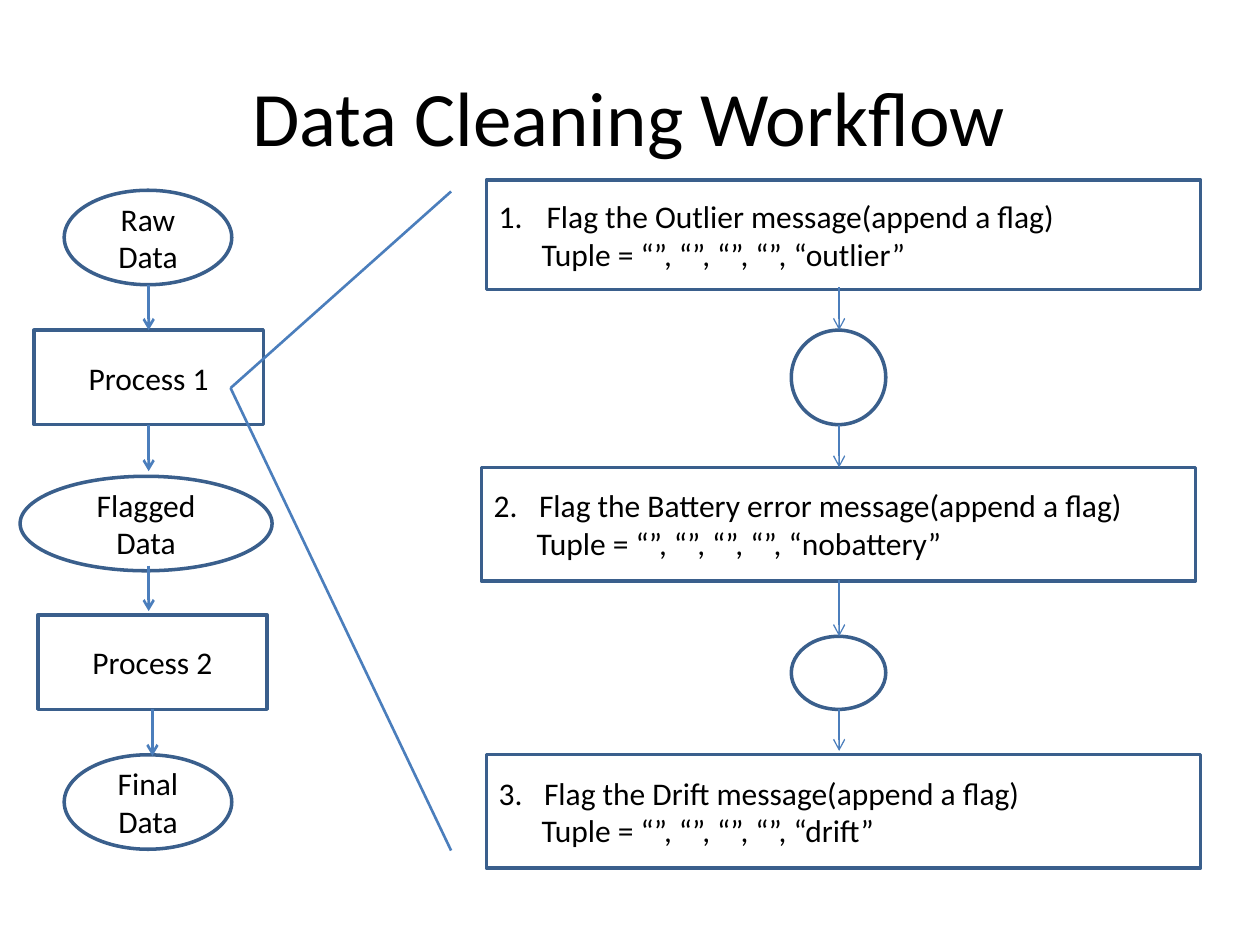
from lxml import etree
from pptx import Presentation
from pptx.dml.color import RGBColor
from pptx.enum.shapes import MSO_CONNECTOR, MSO_SHAPE
from pptx.enum.text import MSO_ANCHOR, PP_ALIGN
from pptx.oxml.ns import qn
from pptx.util import Inches, Pt

BLACK, WHITE = "000000", "FFFFFF"
OUTLINE, ARROW = "3A5F8C", "4B7EBC"

presentation = Presentation()
presentation.slide_width, presentation.slide_height = Inches(10), Inches(7.5)
slide = presentation.slides.add_slide(presentation.slide_layouts[5])


def color(value):
    return RGBColor.from_string(value)


def write(paragraph, text, size=18, align=PP_ALIGN.CENTER, indent=0, number=None):
    paragraph.text = text
    paragraph.alignment = align
    properties = paragraph._p.get_or_add_pPr()
    if indent:
        properties.set("marL", str(Inches(indent)))
        properties.set("indent", str(-Inches(indent) if number else 0))
    if number:
        etree.SubElement(properties, qn("a:buAutoNum"), type="arabicPeriod", startAt=str(number))
    font = paragraph.font
    font.name, font.size, font.color.rgb = "Calibri", Pt(size), color(BLACK)


# Title
title = slide.shapes.title
title.left, title.top, title.width, title.height = [Inches(n) for n in (0.49, 0.29, 9, 1.25)]
title.text_frame.vertical_anchor = MSO_ANCHOR.MIDDLE
write(title.text_frame.paragraphs[0], "Data Cleaning Workflow", size=44)

# Nodes: key, preset, position and size, fill
OVAL, BOX = MSO_SHAPE.OVAL, MSO_SHAPE.RECTANGLE
nodes = {}
for key, preset, bounds, fill in [
    ("Flagged Data", OVAL, (0.16, 3.78, 2, 0.75), WHITE),
    ("Raw Data", OVAL, (0.51, 1.51, 1.33, 0.75), WHITE),
    ("Process 1", BOX, (0.27, 2.62, 1.82, 0.75), None),
    ("Process 2", BOX, (0.3, 4.88, 1.82, 0.75), None),
    ("Final Data", OVAL, (0.51, 5.99, 1.33, 0.75), WHITE),
    ("Outlier step", BOX, (3.86, 1.43, 5.67, 0.87), None),
    ("Battery step", BOX, (3.82, 3.71, 5.67, 0.9), None),
    ("Drift step", BOX, (3.86, 5.99, 5.67, 0.9), None),
    ("First junction", OVAL, (6.28, 2.62, 0.75, 0.75), None),
    ("Second junction", OVAL, (6.28, 5.05, 0.75, 0.58), None),
]:
    shape = slide.shapes.add_shape(preset, *[Inches(n) for n in bounds])
    shape.shadow.inherit = False
    if fill:
        shape.fill.solid()
        shape.fill.fore_color.rgb = color(fill)
    else:
        shape.fill.background()
    shape.line.color.rgb, shape.line.width = color(OUTLINE), Pt(2)
    shape.text_frame.word_wrap = True
    shape.text_frame.vertical_anchor = MSO_ANCHOR.MIDDLE
    nodes[key] = shape

# Labels of the main workflow
for label in ("Raw Data", "Process 1", "Flagged Data", "Process 2", "Final Data"):
    write(nodes[label].text_frame.paragraphs[0], label)

# Numbered steps inside Process 1
for number, (key, message, flag, indent) in enumerate([
    ("Outlier step", "Outlier", "outlier", 0.38),
    ("Battery step", "Battery error", "nobattery", 0.36),
    ("Drift step", "Drift", "drift", 0.36),
], start=1):
    frame = nodes[key].text_frame
    write(frame.paragraphs[0], f"Flag the {message} message(append a flag)",
          align=PP_ALIGN.LEFT, indent=indent, number=number)
    write(frame.add_paragraph(), f"Tuple = “”, “”, “”, “”, “{flag}”",
          align=PP_ALIGN.LEFT, indent=0.34)

# Lines: start, end, width, arrowhead, box left at its bottom, box entered at its top
for start, end, width, arrow, source, target in [
    ((1.18, 2.26), (1.18, 2.62), 1.5, True, None, "Process 1"),
    ((1.18, 3.37), (1.18, 3.74), 1.5, True, "Process 1", None),
    ((1.18, 4.49), (1.18, 4.85), 1.5, True, None, None),
    ((1.21, 5.63), (1.21, 6), 1.5, True, "Process 2", None),
    ((1.83, 3.08), (3.58, 1.52), 1.5, False, None, None),
    ((1.83, 3.08), (3.58, 6.75), 1.5, False, None, None),
    ((6.66, 2.28), (6.66, 2.62), 0.75, True, None, None),
    ((6.66, 3.37), (6.66, 3.71), 0.75, True, None, None),
    ((6.66, 4.6), (6.66, 5.05), 0.75, True, None, None),
    ((6.66, 5.63), (6.66, 5.96), 0.75, True, None, None),
]:
    connector = slide.shapes.add_connector(
        MSO_CONNECTOR.STRAIGHT, *[Inches(n) for n in start + end])
    connector.line.color.rgb, connector.line.width = color(ARROW), Pt(width)
    if arrow:
        etree.SubElement(connector.line._get_or_add_ln(), qn("a:tailEnd"), type="arrow")
    etree.SubElement(connector._element.spPr, qn("a:effectLst"))
    if source:
        connector.begin_connect(nodes[source], 2)
    if target:
        connector.end_connect(nodes[target], 0)

presentation.save("out.pptx")
